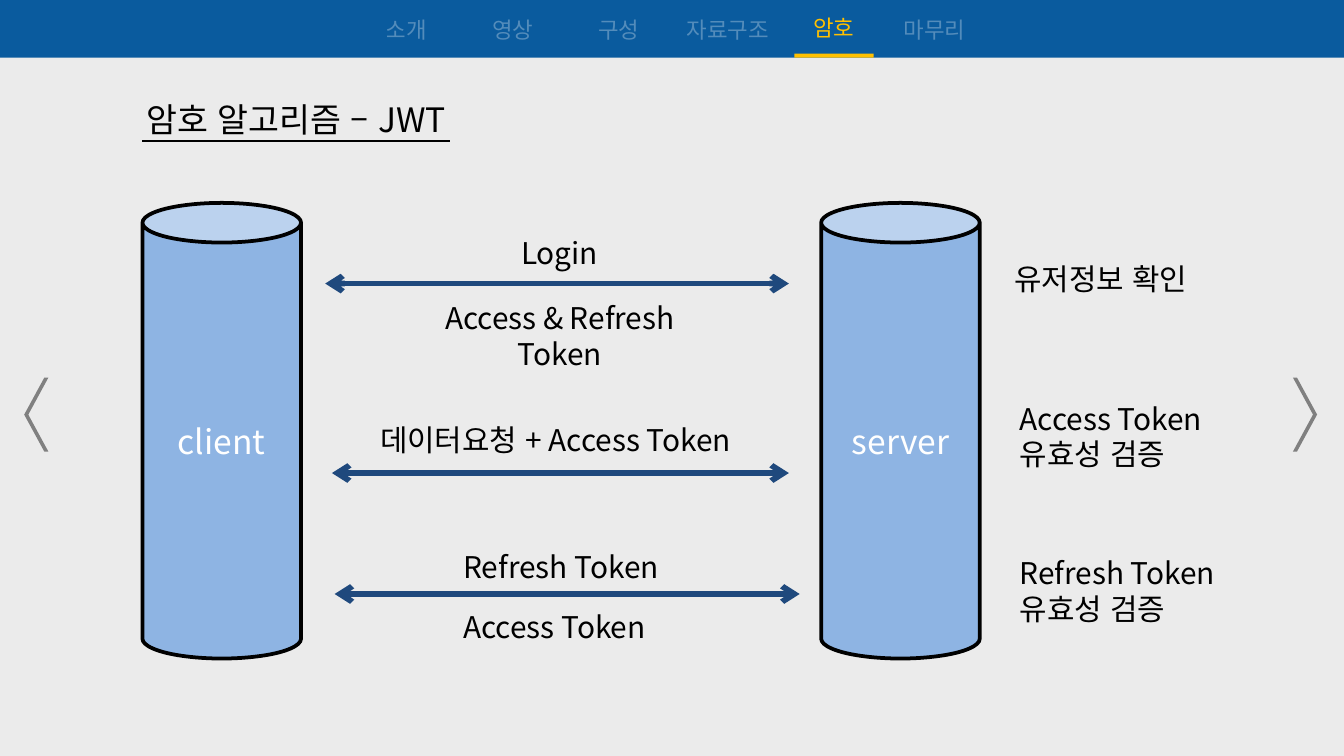
from lxml.etree import SubElement
from pptx import Presentation
from pptx.dml.color import RGBColor
from pptx.enum.lang import MSO_LANGUAGE_ID as Language
from pptx.enum.shapes import MSO_CONNECTOR as Line, MSO_SHAPE as Shape
from pptx.enum.text import MSO_ANCHOR as Anchor, PP_ALIGN as Align
from pptx.oxml.ns import qn
from pptx.util import Inches, Pt

FONT = "Noto Sans CJK KR"
WHITE, BLACK, GOLD, NAVY = "FFFFFF", "000000", "FFC000", "1F497D"
BLUE, SKY, GREY, PAPER = "0A5B9E", "8EB4E3", "808080", "EBEBEB"


def paint(fill, color):
    fill.solid()
    fill.fore_color.rgb = RGBColor.from_string(color)


def write(frame, text, size=16, color=BLACK, align=Align.LEFT, anchor=Anchor.TOP, alpha=None):
    frame.word_wrap = True
    frame.vertical_anchor = anchor
    para = frame.paragraphs[0]
    para.alignment = align
    span = para.add_run()
    span.text = text
    span.font.size = Pt(size)
    span.font.name = FONT
    span.font.language_id = Language.KOREAN
    paint(span.font.fill, color)
    props = span.font._element
    SubElement(props, qn("a:ea")).set("typeface", FONT)
    if alpha:
        tint = props.find(qn("a:solidFill"))[0]
        SubElement(tint, qn("a:alpha")).set("val", str(alpha * 1000))


class Canvas:
    """Holds the deck's style and the current slide, and draws its elements."""

    def __init__(self, deck):
        self.page = deck.slides.add_slide(deck.slide_layouts[6])
        paint(self.page.background.fill, PAPER)

    def shape(self, kind, left, top, width, height, color, border=None):
        box = self.page.shapes.add_shape(
            kind, Inches(left), Inches(top), Inches(width), Inches(height))
        box.shadow.inherit = False
        paint(box.fill, color)
        if border:
            paint(box.line.fill, border)
            box.line.width = Pt(2)
        else:
            box.line.fill.background()
        return box

    def chevron(self, left, rotation=0):
        mark = self.shape(Shape.CHEVRON, left, 2.81, 0.18, 0.55, GREY)
        mark.adjustments[0] = 0.83
        mark.rotation = rotation

    def cylinder(self, left, label):
        can = self.shape(Shape.CAN, left, 1.51, 1.18, 3.39, SKY, BLACK)
        write(can.text_frame, label, size=18, color=WHITE,
              align=Align.CENTER, anchor=Anchor.MIDDLE)

    def text(self, words, left, top, width, height=0.37, **style):
        box = self.page.shapes.add_textbox(
            Inches(left), Inches(top), Inches(width), Inches(height))
        write(box.text_frame, words, **style)

    def line(self, start, end, top, color, width, arrows=False):
        link = self.page.shapes.add_connector(
            Line.STRAIGHT, Inches(start), Inches(top), Inches(end), Inches(top))
        paint(link.line.fill, color)
        link.line.width = Pt(width)
        if arrows:
            stroke = link.line._get_or_add_ln()
            for tip in ("a:headEnd", "a:tailEnd"):
                SubElement(stroke, qn(tip)).set("type", "arrow")
        SubElement(link._element.spPr, qn("a:effectLst"))


def main():
    deck = Presentation()
    deck.slide_width, deck.slide_height = Inches(10), Inches(10 * 9 / 16)
    canvas = Canvas(deck)

    canvas.chevron(9.62)
    canvas.chevron(0.18, rotation=180)
    canvas.shape(Shape.RECTANGLE, 0, 0, 10, 0.43, BLUE)
    tabs = [("자료구조", 4.88), ("암호", 5.67), ("마무리", 6.42),
            ("소개", 2.49), ("영상", 3.28), ("구성", 4.07)]
    for name, left in tabs:
        active = name == "암호"
        canvas.text(name, left, 0.06 if active else 0.07, 1.07, 0.3, size=12,
                    color=GOLD if active else WHITE, align=Align.CENTER,
                    alpha=None if active else 30)
    canvas.shape(Shape.RECTANGLE, 5.91, 0.4, 0.59, 0.03, GOLD)

    canvas.text("암호 알고리즘 – JWT", 0.75, 0.69, 2.91, 0.4, size=18, align=Align.CENTER)
    canvas.line(1.06, 3.35, 1.05, BLACK, 1)

    canvas.cylinder(1.06, "client")
    canvas.cylinder(6.11, "server")
    for start, end, top in [(2.42, 5.87, 2.11), (2.47, 5.87, 3.52), (2.49, 5.95, 4.42)]:
        canvas.line(start, end, top, NAVY, 3, arrows=True)

    canvas.text("Login", 3.78, 1.7, 0.94)
    canvas.text("Access & Refresh Token", 3.14, 2.18, 2.05, 0.64, align=Align.CENTER)
    canvas.text("데이터요청 + Access Token", 2.73, 3.09, 3.23)
    canvas.text("Refresh Token", 3.35, 4.03, 1.97)
    canvas.text("Access Token", 3.35, 4.48, 1.73)

    canvas.text("유저정보 확인", 7.45, 1.89, 1.5)
    canvas.text("Access Token 유효성 검증", 7.49, 2.93, 1.73, 0.64)
    canvas.text("Refresh Token 유효성 검증", 7.49, 4.08, 1.73, 0.64)
    deck.save("out.pptx")


if __name__ == "__main__":
    main()
